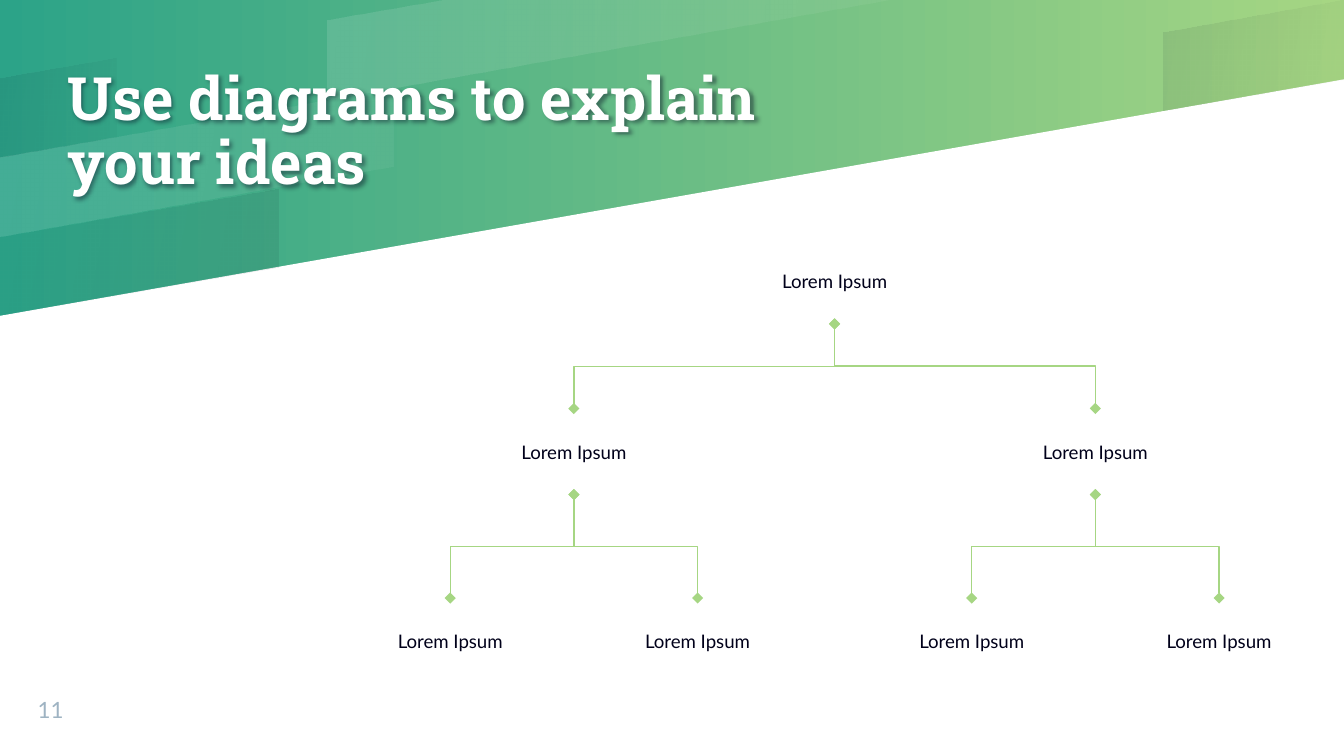
from pptx import Presentation
from pptx.dml.color import RGBColor
from pptx.enum.shapes import MSO_CONNECTOR
from pptx.enum.text import MSO_ANCHOR, MSO_AUTO_SIZE, PP_ALIGN
from pptx.oxml.ns import qn
from pptx.util import Inches, Pt
from lxml import etree

ELBOW = MSO_CONNECTOR.ELBOW
LEFT, CENTER = PP_ALIGN.LEFT, PP_ALIGN.CENTER
MIDDLE, BOTTOM = MSO_ANCHOR.MIDDLE, MSO_ANCHOR.BOTTOM

# Content
TITLE = "Use diagrams to explain your ideas"
PAGE_NUMBER = "11"
LEAF = ("Lorem Ipsum", [])
BRANCH = ("Lorem Ipsum", [LEAF, LEAF])
TREE = ("Lorem Ipsum", [BRANCH, BRANCH])

THEME = {
    "teal": "2CA388", "lime": "A6D683", "white": "FFFFFF",
    "ink": "00001A", "muted": "9EB3C2",
    "heading": "Roboto Slab", "body": "Lato",
    "title_size": 32, "number_size": 12, "node_size": 10,
}

# Layout, in inches
WIDTH = 10
HEIGHT = WIDTH * 9 / 16
WHITE_AREA = [(0, HEIGHT), (WIDTH, HEIGHT), (WIDTH, 0.59), (0, 2.35)]
# Each band: outline, colour, opacity in percent at its two ends
BANDS = [
    ([(3.32, 0), (2.44, 0.15), (2.44, 0.74), (6.65, 0)], "white", (12, 5)),
    ([(0, 0.58), (0, 1.17), (0.87, 1.02), (0.87, 0.43)], "ink", (8, 2)),
    ([(0, 1.76), (0, 2.35), (2.07, 1.99), (2.07, 1.4)], "ink", (2, 8)),
    ([(10, 0), (9.99, 0), (8.66, 0.24), (8.66, 0.82), (10, 0.59)], "ink", (8, 2)),
    ([(0, 1.17), (0, 1.76), (2.93, 1.24), (2.93, 0.66)], "white", (12, 5)),
]
NODE_W, NODE_H = 1.68, 0.64
LEVEL_TOPS = [1.77, 3.04, 4.45]
HALF_SPREADS = [1.94, 0.92]
ROOT_X = 6.21


def color(name):
    return RGBColor.from_string(THEME[name])


def add_polygon(slide, points):
    corners = [(Inches(x), Inches(y)) for x, y in points]
    builder = slide.shapes.build_freeform(*corners[0], scale=1.0)
    builder.add_line_segments(corners[1:], close=True)
    polygon = builder.convert_to_shape()
    polygon.shadow.inherit = False
    polygon.line.fill.background()
    return polygon


def set_gradient(fill, names, angle, opacities=None):
    fill.gradient()
    fill.gradient_angle = angle
    for stop, name in zip(fill.gradient_stops, names):
        stop.color.rgb = color(name)
    if opacities:
        for rgb, opacity in zip(fill._xPr.iter(qn("a:srgbClr")), opacities):
            etree.SubElement(rgb, qn("a:alpha"), val=str(opacity * 1000))


def write(shape, text, font, size, tint, align, anchor, inset=0.0, bold=False):
    frame = shape.text_frame
    frame.word_wrap = True
    frame.auto_size = MSO_AUTO_SIZE.NONE
    frame.vertical_anchor = anchor
    frame.margin_left = frame.margin_right = Inches(inset)
    frame.margin_top = frame.margin_bottom = Inches(inset)
    paragraph = frame.paragraphs[0]
    paragraph.alignment = align
    run = paragraph.add_run()
    run.text = text
    run.font.name = THEME[font]
    run.font.size = Pt(THEME[size])
    run.font.bold = bold
    run.font.color.rgb = color(tint)
    return paragraph


def add_soft_shadow(shape):
    """On a shape without fill, the shadow falls from its text."""
    shape.fill.background()
    effects = etree.SubElement(shape._element.spPr, qn("a:effectLst"))
    shadow = etree.SubElement(effects, qn("a:outerShdw"), blurRad="28575",
                              dist="19050", dir="3000000", algn="bl")
    rgb = etree.SubElement(shadow, qn("a:srgbClr"), val=THEME["ink"])
    etree.SubElement(rgb, qn("a:alpha"), val="40000")


def add_branch_line(slide, parent_x, top, child_x, bottom):
    """Elbow that leaves and arrives vertically: laid out sideways, then turned."""
    mid_x, mid_y = (parent_x + child_x) / 2, (top + bottom) / 2
    half_w = (bottom - top) / 2 * (1 if child_x > parent_x else -1)
    half_h = abs(child_x - parent_x) / 2
    branch = slide.shapes.add_connector(
        ELBOW, Inches(mid_x + half_w), Inches(mid_y - half_h),
        Inches(mid_x - half_w), Inches(mid_y + half_h))
    properties = branch._element.spPr
    properties.find(qn("a:xfrm")).set("rot", str(270 * 60000))
    branch.line.color.rgb = color("lime")
    branch.line.width = Pt(0.75)
    for end in ("a:headEnd", "a:tailEnd"):
        etree.SubElement(branch.line._get_or_add_ln(), qn(end), type="diamond")
    etree.SubElement(properties, qn("a:effectLst"))


def add_node(slide, node, x, level=0):
    label, children = node
    top = LEVEL_TOPS[level]
    box = slide.shapes.add_textbox(Inches(x - NODE_W / 2), Inches(top),
                                   Inches(NODE_W), Inches(NODE_H))
    write(box, label, "body", "node_size", "ink", CENTER, MIDDLE, inset=0.1)
    for child, side in zip(children, (-1, 1)):
        child_x = x + side * HALF_SPREADS[level]
        add_branch_line(slide, x, top + NODE_H, child_x, LEVEL_TOPS[level + 1])
        add_node(slide, child, child_x, level + 1)


def main():
    deck = Presentation()
    deck.slide_width, deck.slide_height = Inches(WIDTH), Inches(HEIGHT)
    slide = deck.slides.add_slide(deck.slide_layouts[5])

    # Background and slanted bands
    set_gradient(slide.background.fill, ("teal", "lime"), 0)
    white_area = add_polygon(slide, WHITE_AREA)
    white_area.fill.solid()
    white_area.fill.fore_color.rgb = color("white")
    for points, tint, opacities in BANDS:
        band = add_polygon(slide, points)
        set_gradient(band.fill, (tint, tint), 350, opacities)

    # Title, raised above the bands
    title = slide.shapes.title
    title.left, title.top = Inches(0.5), Inches(0)
    title.width, title.height = Inches(6), Inches(1.98)
    heading = write(title, TITLE, "heading", "title_size", "white", LEFT, MIDDLE,
                    bold=True)
    heading.line_spacing = 0.9
    add_soft_shadow(title)
    slide.shapes._spTree.append(title._element)

    # Page number
    number = slide.shapes.add_textbox(Inches(0.28), Inches(5.11),
                                      Inches(0.53), Inches(0.27))
    write(number, PAGE_NUMBER, "body", "number_size", "muted", LEFT, BOTTOM)

    # Tree diagram
    add_node(slide, TREE, ROOT_X)

    deck.save("out.pptx")


if __name__ == "__main__":
    main()
